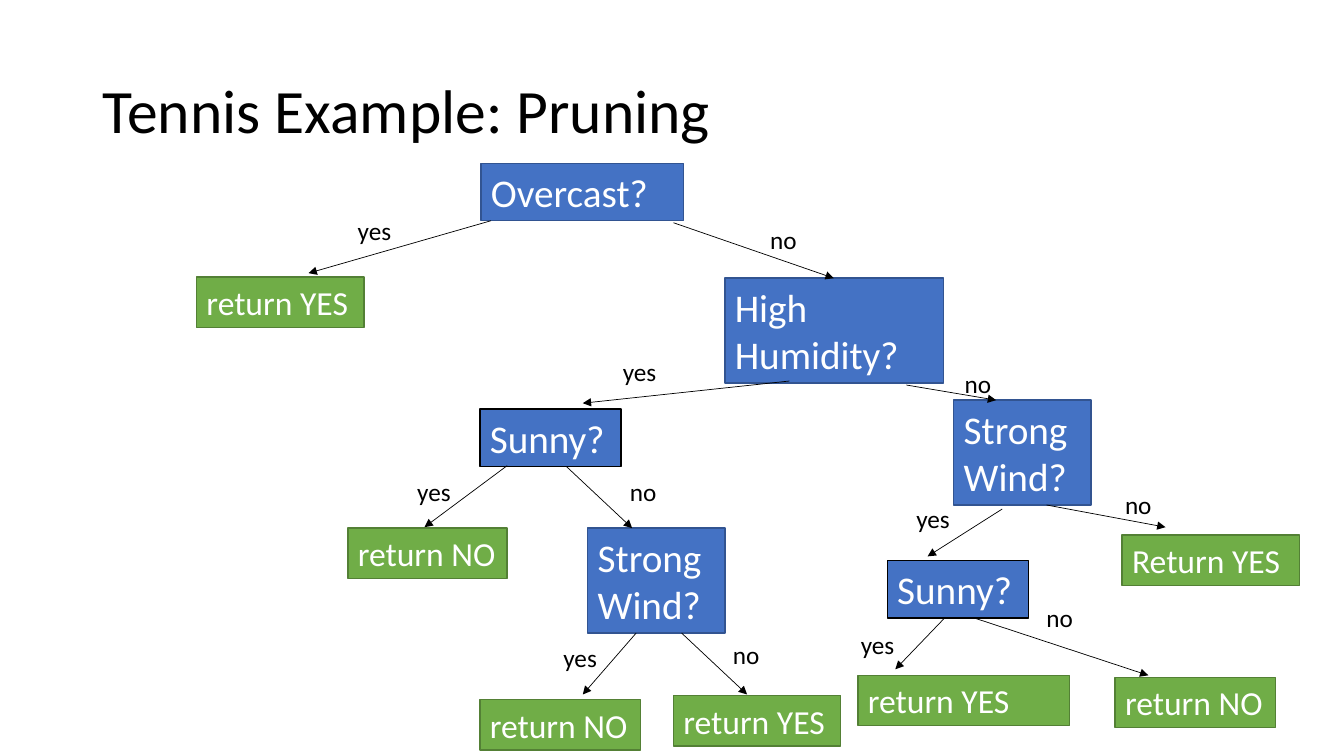
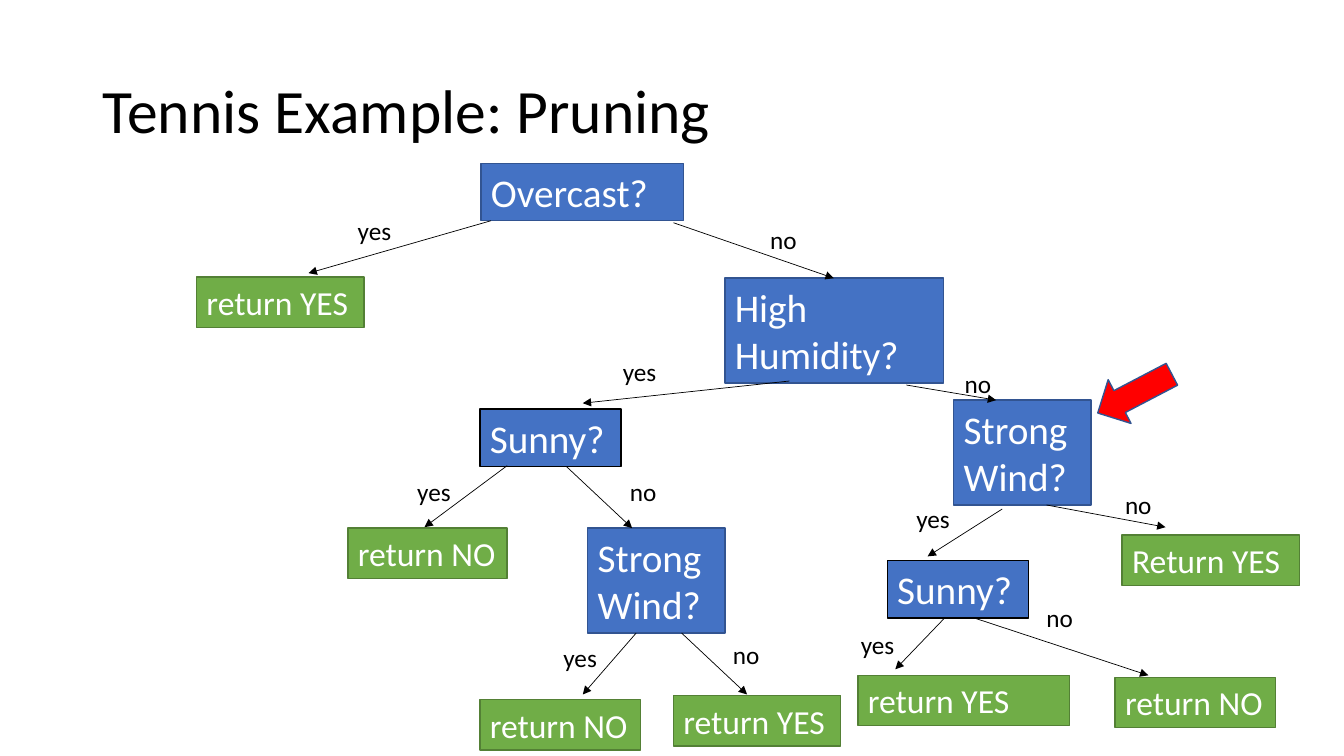
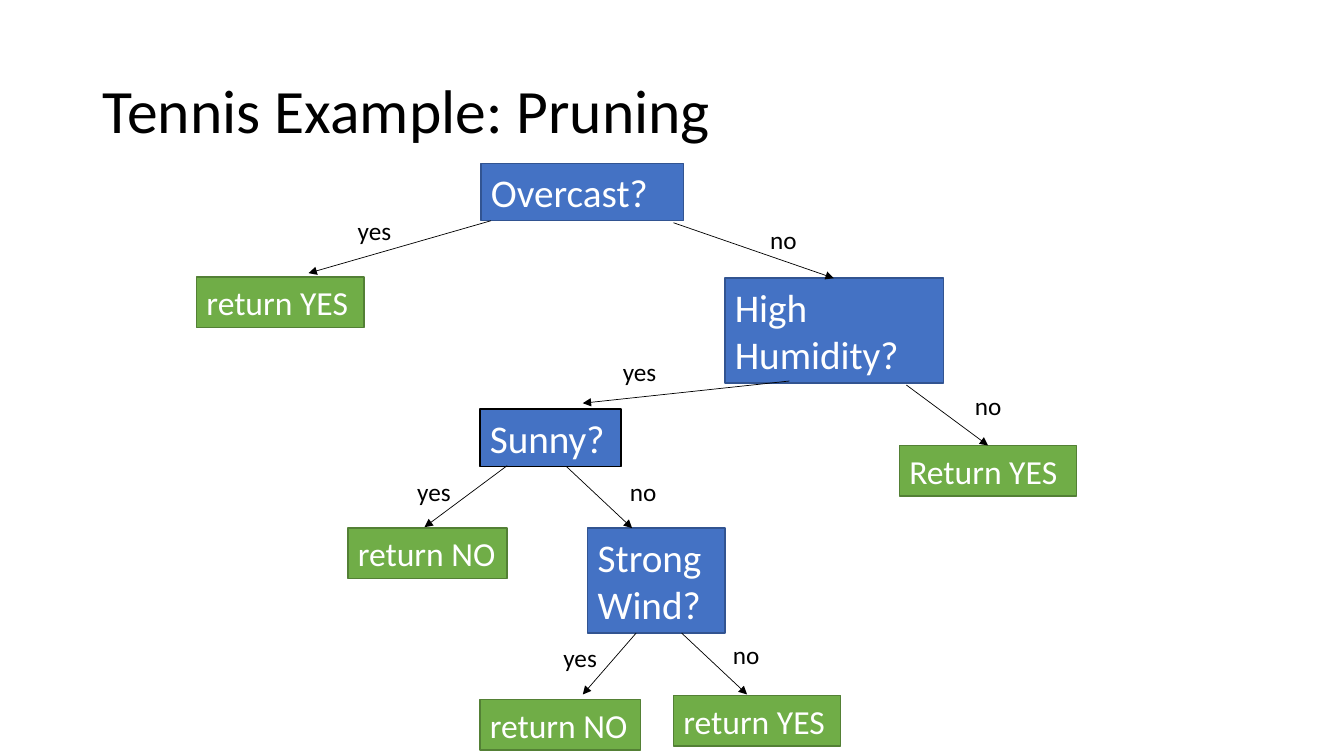
import pptx
import pptx.util
import pptx.dml.color
import pptx.enum.shapes
import pptx.enum.text
import pptx.oxml.ns
from lxml import etree

PX = 9144  # EMU in one px, 100 px to the inch
FONT = "Calibri"
COLORS = {
    "question": "4472C4",
    "question_edge": "325491",
    "answer": "70AD47",
    "answer_edge": "538035",
    "pointer": "FF0000",
    "ink": "000000",
    "paper": "FFFFFF",
}
LINE_HEIGHT = 47  # extra height of a question for each further line

# Questions and answers: text, left, top, width
SHARED_QUESTIONS = [
    ("Overcast?", 477, 162, 201),
    ("High Humidity?", 719, 276, 217),
    ("Sunny?", 476, 406, 140),
    ("Strong Wind?", 583, 524, 136),
]
SHARED_ANSWERS = [
    ("return YES", 195, 275, 166),
    ("return NO", 345, 524, 158),
    ("return NO", 476, 694, 159),
    ("return YES", 668, 690, 166),
]
# Branches: label, start, end, label place, label width
SHARED_BRANCHES = [
    ("yes", (487, 219), (306, 271), (345, 209), 97),
    ("no", (668, 221), (827, 276), (754, 218), 67),
    ("yes", (783, 378), (578, 400), (608, 349), 67),
    ("yes", (503, 462), (421, 523), (404, 468), 87),
    ("no", (562, 463), (627, 524), (615, 468), 56),
    ("yes", (631, 628), (578, 689), (549, 632), 67),
    ("no", (676, 628), (741, 689), (717, 629), 67),
]

# What hangs below the "no" branch of "High Humidity?"
FULL_QUESTIONS = [
    ("Strong Wind?", 946, 397, 136),
    ("Sunny?", 880, 556, 140),
]
FULL_ANSWERS = [
    ("Return YES", 1113, 531, 176),
    ("return YES", 851, 670, 210),
    ("return NO", 1106, 672, 159),
]
FULL_BRANCHES = [
    ("no", (899, 382), (988, 397), (947, 360), 67),
    ("yes", (994, 505), (920, 552), (899, 494), 67),
    ("no", (1038, 501), (1156, 523), (1106, 481), 67),
    ("yes", (937, 613), (888, 664), (844, 619), 67),
    ("no", (966, 613), (1139, 670), (1028, 593), 56),
]
PRUNED_ANSWERS = [("Return YES", 892, 442, 176)]
PRUNED_BRANCHES = [("no", (899, 382), (980, 442), (957, 382), 67)]


def px(*lengths):
    return [pptx.util.Emu(length * PX) for length in lengths]


def rgb(color):
    return pptx.dml.color.RGBColor.from_string(COLORS[color])


def write(shape, text, size, color):
    """Put one left-aligned run of text into a shape and return its paragraph."""
    frame = shape.text_frame
    frame.word_wrap = True
    frame.vertical_anchor = pptx.enum.text.MSO_ANCHOR.TOP
    frame.auto_size = pptx.enum.text.MSO_AUTO_SIZE.SHAPE_TO_FIT_TEXT
    paragraph = frame.paragraphs[0]
    paragraph.alignment = pptx.enum.text.PP_ALIGN.LEFT
    run = paragraph.add_run()
    run.text = text
    run.font.name = FONT
    run.font.size = pptx.util.Pt(size)
    run.font.color.rgb = rgb(color)
    return paragraph


def add_title(slide, text):
    title = slide.shapes.add_textbox(*px(92, 40, 1150, 145))
    write(title, text, 44, "ink").line_spacing = 0.9
    title.text_frame.auto_size = pptx.enum.text.MSO_AUTO_SIZE.NONE
    title.text_frame.vertical_anchor = pptx.enum.text.MSO_ANCHOR.MIDDLE


def add_filled(slide, preset, place, fill, edge):
    shape = slide.shapes.add_shape(preset, *px(*place))
    shape.shadow.inherit = False
    shape.fill.solid()
    shape.fill.fore_color.rgb = rgb(fill)
    shape.line.color.rgb = rgb(edge)
    shape.line.width = pptx.util.Pt(1)
    return shape


def add_box(slide, text, place, fill, edge, size):
    rectangle = pptx.enum.shapes.MSO_SHAPE.RECTANGLE
    write(add_filled(slide, rectangle, place, fill, edge), text, size, "paper")


def add_question(slide, text, left, top, width):
    """Each word of a question takes a line of its own."""
    height = 57 + LINE_HEIGHT * (len(text.split()) - 1)
    edge = "ink" if text == "Sunny?" else "question_edge"
    add_box(slide, text, (left, top, width, height), "question", edge, 28)


def add_answer(slide, text, left, top, width):
    add_box(slide, text, (left, top, width, 50), "answer", "answer_edge", 24)


def add_branch(slide, label, start, end, label_place, label_width):
    straight = pptx.enum.shapes.MSO_CONNECTOR.STRAIGHT
    arrow = slide.shapes.add_connector(straight, *px(*start, *end))
    arrow.line.color.rgb = rgb("ink")
    arrow.line.width = pptx.util.Pt(0.5)
    qn = pptx.oxml.ns.qn
    etree.SubElement(arrow.line._get_or_add_ln(), qn("a:tailEnd"), type="triangle")
    etree.SubElement(arrow._element.spPr, qn("a:effectLst"))
    caption = slide.shapes.add_textbox(*px(*label_place, label_width, 40))
    write(caption, label, 18, "ink")


def add_pointer(slide):
    """Mark the question that is about to be pruned."""
    preset = pptx.enum.shapes.MSO_SHAPE.RIGHT_ARROW
    pointer = add_filled(slide, preset, (1084, 366, 83, 49), "pointer", "question_edge")
    pointer.rotation = 152.4


def add_tree_slide(deck, questions, answers, branches):
    slide = deck.slides.add_slide(deck.slide_layouts[6])
    add_title(slide, "Tennis Example: Pruning")
    for question in SHARED_QUESTIONS + questions:
        add_question(slide, *question)
    for answer in SHARED_ANSWERS + answers:
        add_answer(slide, *answer)
    for branch in SHARED_BRANCHES + branches:
        add_branch(slide, *branch)
    return slide


def main():
    deck = pptx.Presentation()
    deck.slide_width, deck.slide_height = px(1333, 750)
    full_tree = (FULL_QUESTIONS, FULL_ANSWERS, FULL_BRANCHES)
    add_tree_slide(deck, *full_tree)
    add_pointer(add_tree_slide(deck, *full_tree))
    add_tree_slide(deck, [], PRUNED_ANSWERS, PRUNED_BRANCHES)
    deck.save("out.pptx")


if __name__ == "__main__":
    main()
